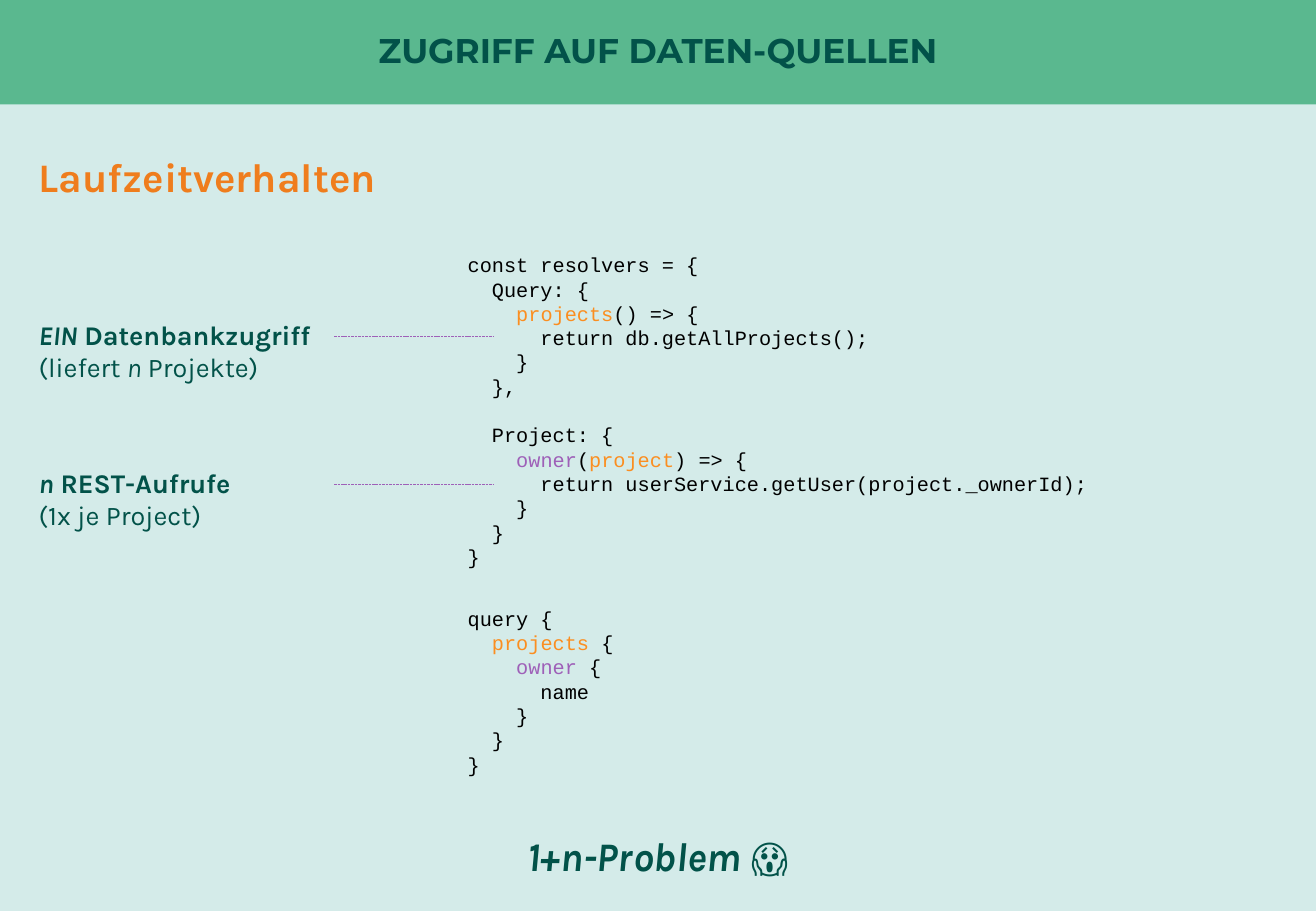
from pptx import Presentation
from pptx.dml.color import RGBColor
from pptx.enum.dml import MSO_LINE
from pptx.enum.shapes import MSO_CONNECTOR
from pptx.enum.text import MSO_ANCHOR, MSO_AUTO_SIZE, PP_ALIGN
from pptx.oxml.ns import qn
from pptx.util import Inches, Pt
from lxml import etree

MINT = RGBColor(0xD4, 0xEB, 0xE9)
GREEN = RGBColor(0x5A, 0xB8, 0x8F)
TEAL = RGBColor(0x02, 0x52, 0x49)
ORANGE = RGBColor(0xEF, 0x7D, 0x1D)
AMBER = RGBColor(0xFB, 0x8E, 0x20)
PURPLE = RGBColor(0x9E, 0x60, 0xB8)
BLACK = RGBColor(0, 0, 0)

# Positions are in percent of the slide's width and height
MARGIN, CODE_LEFT = 2.03, 34.63
LABEL_W, LABEL_H = 24.65, 8.53
LINE_START, LINE_END, LINE_DROP = 25.39, 37.49, 2.7

# A code line is a list of (text, colour) runs
RESOLVERS = [
    [("const resolvers = {", BLACK)],
    [("  Query: {", BLACK)],
    [("    ", BLACK), ("projects", AMBER), ("() => {", BLACK)],
    [("      return db.getAllProjects();", BLACK)],
    [("    }", BLACK)],
    [("  },", BLACK)],
    [("  Project: {", BLACK)],
    [("    ", BLACK), ("owner", PURPLE), ("(", BLACK), ("project", AMBER), (") => {", BLACK)],
    [("      return userService.getUser(project._ownerId);", BLACK)],
    [("    }", BLACK)],
    [("  }", BLACK)],
    [("}", BLACK)],
]
QUERY = [
    [("query {", BLACK)],
    [("  ", BLACK), ("projects", AMBER), (" {", BLACK)],
    [("    ", BLACK), ("owner", PURPLE), (" {", BLACK)],
    [("      name", BLACK)],
    [("    }", BLACK)],
    [("  }", BLACK)],
    [("}", BLACK)],
]

# A label is a top edge and its lines of (text, bold, italic) runs
LABELS = [
    (34.27, [[("EIN", True, True), (" Datenbankzugriff", True, False)],
             [("(liefert ", False, False), ("n", False, True), (" Projekte)", False, False)]]),
    (50.53, [[("n", True, True), (" REST-Aufrufe", True, False)],
             [("(1x je Project)", False, False)]]),
]


class Deck:
    def __init__(self):
        self.prs = Presentation()
        self.prs.slide_width, self.prs.slide_height = Inches(10.83), Inches(7.5)
        self.s = self.prs.slides.add_slide(self.prs.slide_layouts[5])
        self.s.background.fill.solid()
        self.s.background.fill.fore_color.rgb = MINT

    def x(self, share):
        return round(self.prs.slide_width * share / 100)

    def y(self, share):
        return round(self.prs.slide_height * share / 100)

    def run(self, p, text, font, size, color, bold=False, italic=False):
        r = p.add_run()
        r.text = text
        r.font.name, r.font.size = font, Pt(size)
        r.font.color.rgb = color
        r.font.bold, r.font.italic = bold, italic

    def title(self, text, height):
        sp = self.s.shapes.title
        sp.left, sp.top, sp.width, sp.height = 0, 0, self.x(100), self.y(height)
        sp.fill.solid()
        sp.fill.fore_color.rgb = GREEN
        tf = sp.text_frame
        tf.margin_left = tf.margin_right = tf.margin_top = tf.margin_bottom = 0
        tf.vertical_anchor = MSO_ANCHOR.MIDDLE
        p = tf.paragraphs[0]
        p.alignment, p.line_spacing = PP_ALIGN.CENTER, 0.9
        self.run(p, text, "Montserrat", 20.3, TEAL, True)

    def text(self, left, top, width, height, lines, font, size, spacing,
             align=PP_ALIGN.LEFT, gap_before=None):
        """Add lines of (text, colour, bold, italic) runs; gap_before is the line after a gap."""
        sp = self.s.shapes.add_textbox(self.x(left), self.y(top), self.x(width), self.y(height))
        tf = sp.text_frame
        tf.word_wrap = True
        tf.auto_size = MSO_AUTO_SIZE.SHAPE_TO_FIT_TEXT
        for i, line in enumerate(lines):
            p = tf.add_paragraph() if i else tf.paragraphs[0]
            p.alignment, p.line_spacing = align, spacing
            if i and i == gap_before:
                p.space_before = spacing
            for text, *style in line:
                self.run(p, text, font, size, *style)

    def code(self, top, height, lines, gap_before=None):
        self.text(CODE_LEFT, top, 100 - CODE_LEFT, height, lines, "Courier New", 12,
                  Pt(14.4), gap_before=gap_before)

    def label(self, top, lines):
        lines = [[(text, TEAL, bold, italic) for text, bold, italic in line] for line in lines]
        self.text(MARGIN, top, LABEL_W, LABEL_H, lines, "Karla", 16, Pt(19.2))

    def dashed_line(self, level):
        y = self.y(level)
        c = self.s.shapes.add_connector(
            MSO_CONNECTOR.STRAIGHT, self.x(LINE_START), y, self.x(LINE_END), y)
        c.line.color.rgb = PURPLE
        c.line.width = Pt(0.5)
        c.line.dash_style = MSO_LINE.SQUARE_DOT
        etree.SubElement(c._element.spPr, qn("a:effectLst"))


def main():
    deck = Deck()
    deck.title("ZUGRIFF AUF DATEN-QUELLEN", 11.47)
    deck.text(MARGIN, 14.93, 95.94, 7.6, [[("Laufzeitverhalten", ORANGE, True)]],
              "Karla", 24, 1.2)
    deck.code(27.07, 36.4, RESOLVERS, gap_before=6)
    deck.code(65.87, 20.13, QUERY)
    for top, lines in LABELS:
        deck.label(top, lines)
        deck.dashed_line(top + LINE_DROP)
    deck.text(0, 89.47, 100, 7.47,
              [[("1+n-Problem ", TEAL, True, True), ("😱", TEAL, True)]],
              "Karla", 24, 1.2, PP_ALIGN.CENTER)
    deck.prs.save("out.pptx")


if __name__ == "__main__":
    main()
